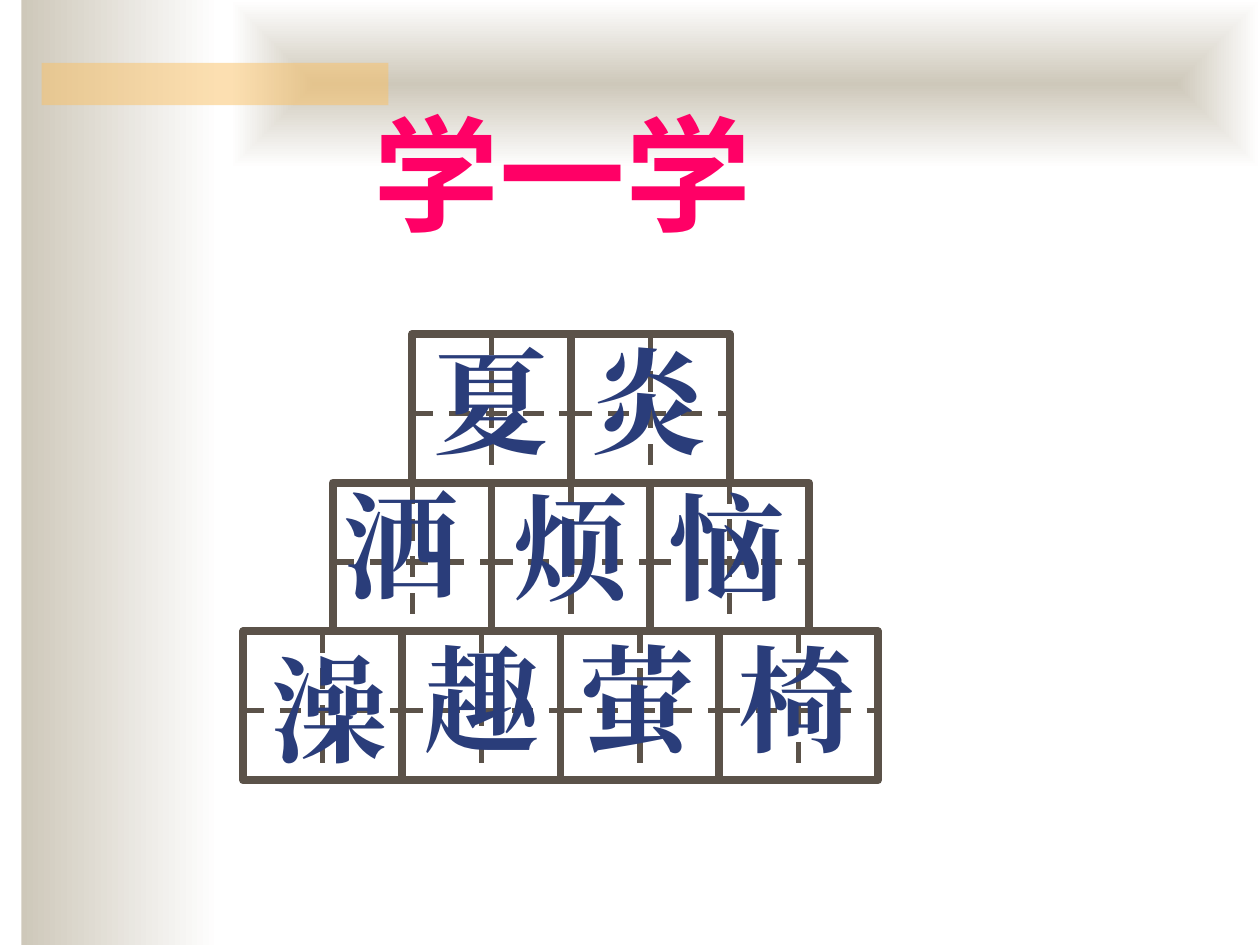
from dataclasses import dataclass

from lxml import etree
from pptx import Presentation
from pptx import util as u
from pptx.dml.color import RGBColor
from pptx.enum import dml, shapes, text
from pptx.oxml import ns


@dataclass(frozen=True)
class Theme:
    paper: str = "FFFFFF"
    sand: str = "CEC8BA"
    gold: str = "FAC164"
    pink: str = "FF0066"
    brown: str = "5B5249"
    navy: str = "2A3D7A"
    head_font: str = "Noto Sans CJK SC"
    word_font: str = "Times New Roman"
    head_size: int = 72
    word_size: int = 66
    frame: float = 4.5
    guide: float = 3


def rgb(code):
    return RGBColor.from_string(code)


def add(parent, tag, **attrs):
    return etree.SubElement(parent, ns.qn(tag), attrs)


class Page:
    def __init__(self, slide, theme):
        self.slide, self.theme = slide, theme

    def rect(self, x, y, w, h):
        box = self.slide.shapes.add_shape(
            shapes.MSO_SHAPE.RECTANGLE, u.Cm(x), u.Cm(y), u.Cm(w), u.Cm(h))
        box.shadow.inherit = False
        box.line.fill.background()
        return box

    def fade(self, *at, inner=False):
        """Band fading from sand to paper, rightwards or out of its centre."""
        box = self.rect(*at)
        box.fill.gradient()
        box.fill.gradient_angle = 0
        for stop, code in zip(box.fill.gradient_stops,
                              (self.theme.sand, self.theme.paper)):
            stop.color.rgb = rgb(code)
        if inner:
            grad = box.element.spPr.find(ns.qn("a:gradFill"))
            grad.remove(grad.find(ns.qn("a:lin")))
            way = add(grad, "a:path", path="rect")
            add(way, "a:fillToRect", l="50000", t="50000", r="50000", b="50000")

    def glass(self, *at):
        """Half-transparent gold bar."""
        box = self.rect(*at)
        box.fill.solid()
        box.fill.fore_color.rgb = rgb(self.theme.gold)
        tint = box.element.spPr.find(".//" + ns.qn("a:srgbClr"))
        add(tint, "a:alpha", val="50000")

    def guide(self, x1, y1, x2, y2):
        line = self.slide.shapes.add_connector(
            shapes.MSO_CONNECTOR.STRAIGHT, u.Cm(x1), u.Cm(y1), u.Cm(x2), u.Cm(y2))
        line.line.color.rgb = rgb(self.theme.brown)
        line.line.width = u.Pt(self.theme.guide)
        line.line.dash_style = dml.MSO_LINE.DASH
        add(line.element.spPr, "a:effectLst")
        return line

    def tile(self, x, y, w, h):
        """Writing square with a dashed cross."""
        box = self.rect(x, y, w, h)
        box.fill.solid()
        box.fill.fore_color.rgb = rgb(self.theme.paper)
        box.line.color.rgb = rgb(self.theme.brown)
        box.line.width = u.Pt(self.theme.frame)
        mid = w / 2
        self.guide(x, y + mid, x + w, y + mid)
        down = self.guide(x + mid, y, x + mid, y + h)
        down.begin_connect(box, 0)
        down.end_connect(box, 2)

    def label(self, words, x, y, w, h, font, size, color):
        box = self.slide.shapes.add_textbox(u.Cm(x), u.Cm(y), u.Cm(w), u.Cm(h))
        frame = box.text_frame
        frame.word_wrap = True
        frame.vertical_anchor = text.MSO_ANCHOR.BOTTOM
        frame.text = words
        run = frame.paragraphs[0].runs[0]
        run.font.name = font
        run.font.size = u.Pt(size)
        run.font.bold = True
        run.font.color.rgb = rgb(color)
        add(run.font._element, "a:ea", typeface=font)


TILE_W, TILE_H, TOP = 3.2, 3, 6.73
ROWS = [(8.31, 2), (6.71, 3), (4.9, 4)]  # left edge, number of tiles
WORDS = [
    ("夏", 8.48, 6.53, 2.62), ("炎", 11.68, 6.53, 2.62),
    ("洒", 6.68, 9.42, 2.62), ("烦", 10.11, 9.47, 2.62),
    ("恼", 13.23, 9.47, 2.46),
    ("澡", 5.23, 12.73, 2.46), ("趣", 8.31, 12.52, 2.46),
    ("萤", 11.43, 12.52, 2.46), ("椅", 14.63, 12.52, 2.46),
]


def main():
    deck = Presentation()
    deck.slide_width, deck.slide_height = u.Cm(25.4), u.Cm(19.05)
    theme = Theme()
    page = Page(deck.slides.add_slide(deck.slide_layouts[6]), theme)

    page.fade(0.43, 0, 4.01, 19.05)
    page.fade(4.65, 0, 20.75, 3.39, inner=True)
    page.glass(0.84, 1.27, 6.99, 0.85)
    page.label("学一学", 7.29, 1.93, 8.41, 3.18,
               theme.head_font, theme.head_size, theme.pink)

    for row, (left, count) in enumerate(ROWS):
        for col in range(count):
            page.tile(left + col * TILE_W, TOP + row * TILE_H, TILE_W, TILE_H)
    for word, x, y, w in WORDS:
        page.label(word, x, y, w, 3.05,
                   theme.word_font, theme.word_size, theme.navy)

    deck.save("out.pptx")


if __name__ == "__main__":
    main()
